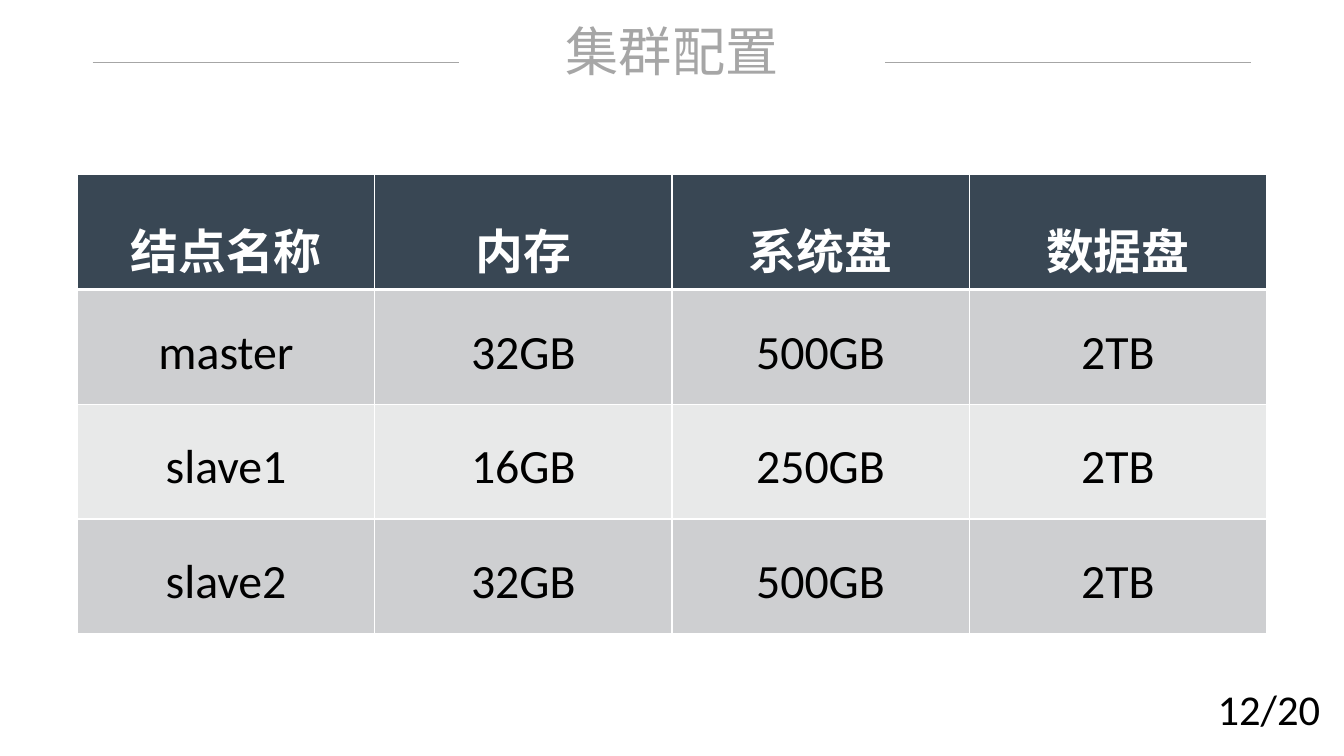
import pptx
import pptx.dml.color
import pptx.enum.shapes
import pptx.enum.text
import pptx.oxml
import pptx.oxml.ns
import pptx.util

Inches, Pt = pptx.util.Inches, pptx.util.Pt
CENTER = pptx.enum.text.PP_ALIGN.CENTER
WIDTH, HEIGHT = 14.06, 7.91
GREY = "A6A6A6"


def color(value):
    return pptx.dml.color.RGBColor.from_string(value)


def style(paragraph, size, value, font="Calibri", bold=False):
    paragraph.font.size = Pt(size)
    paragraph.font.name = font
    paragraph.font.bold = bold
    paragraph.font.color.rgb = color(value)


deck = pptx.Presentation()
deck.slide_width, deck.slide_height = Inches(WIDTH), Inches(HEIGHT)
slide = deck.slides.add_slide(deck.slide_layouts[6])

# Title
title_width = 4.32
title = slide.shapes.add_textbox(Inches((WIDTH - title_width) / 2), Inches(0.19),
                                 Inches(title_width), Inches(0.67)).text_frame
title.word_wrap = True
title.vertical_anchor = pptx.enum.text.MSO_ANCHOR.MIDDLE
title.margin_left = title.margin_right = title.margin_top = title.margin_bottom = 0
heading = title.paragraphs[0]
heading.text = "集群配置"
heading.alignment = CENTER
style(heading, 40, GREY, "Noto Sans CJK SC")
east_asian = pptx.oxml.parse_xml(
    f'<a:ea {pptx.oxml.ns.nsdecls("a")} typeface="Noto Sans CJK SC"/>')
heading.font._element.append(east_asian) if hasattr(heading.font, "_element") else \
    heading._p.pPr.find(pptx.oxml.ns.qn("a:defRPr")).append(east_asian)

# Rules on both sides of the title
rule_length, rule_y = 3.83, 0.65
for rule_left in (0.97, WIDTH - 0.97 - rule_length):
    rule = slide.shapes.add_connector(
        pptx.enum.shapes.MSO_CONNECTOR.STRAIGHT, Inches(rule_left), Inches(rule_y),
        Inches(rule_left + rule_length), Inches(rule_y))
    rule.line.color.rgb = color(GREY)
    rule.line.width = Pt(0.5)
    rule._element.spPr.append(
        pptx.oxml.parse_xml(f'<a:effectLst {pptx.oxml.ns.nsdecls("a")}/>'))

# Cluster table
nodes = [
    ("结点名称", "内存", "系统盘", "数据盘"),
    ("master", "32GB", "500GB", "2TB"),
    ("slave1", "16GB", "250GB", "2TB"),
    ("slave2", "32GB", "500GB", "2TB"),
]
column_width, row_height = 3.11, 1.2
cluster = slide.shapes.add_table(
    len(nodes), len(nodes[0]), Inches(0.81), Inches(1.83),
    Inches(column_width * len(nodes[0])), Inches(row_height * len(nodes))).table

for row, node in enumerate(nodes):
    header = row == 0
    for column, value in enumerate(node):
        cell = cluster.cell(row, column)
        entry = cell.text_frame.paragraphs[0]
        entry.text = value
        entry.alignment = CENTER
        entry.line_spacing = 1.5
        style(entry, 36, "FFFFFF" if header else "000000", bold=header)

        # White borders, thicker between header and body
        for side in "LRTB":
            thick = (row, side) in ((0, "B"), (1, "T"))
            cell._tc.get_or_add_tcPr().append(pptx.oxml.parse_xml(
                f'<a:ln{side} {pptx.oxml.ns.nsdecls("a")} w="{Pt(3 if thick else 1)}">'
                '<a:solidFill><a:srgbClr val="FFFFFF"/></a:solidFill>'
                f'</a:ln{side}>'))
        cell.fill.solid()
        cell.fill.fore_color.rgb = color(
            "394754" if header else "CECFD1" if row % 2 else "E8E9E9")

# Page number
page_width = 1.42
page = slide.shapes.add_textbox(Inches(WIDTH - page_width), Inches(7.1),
                                Inches(page_width), Inches(0.61)).text_frame
page.word_wrap = True
page.paragraphs[0].text = "12/20"
style(page.paragraphs[0], 32, "000000")

deck.save("out.pptx")
